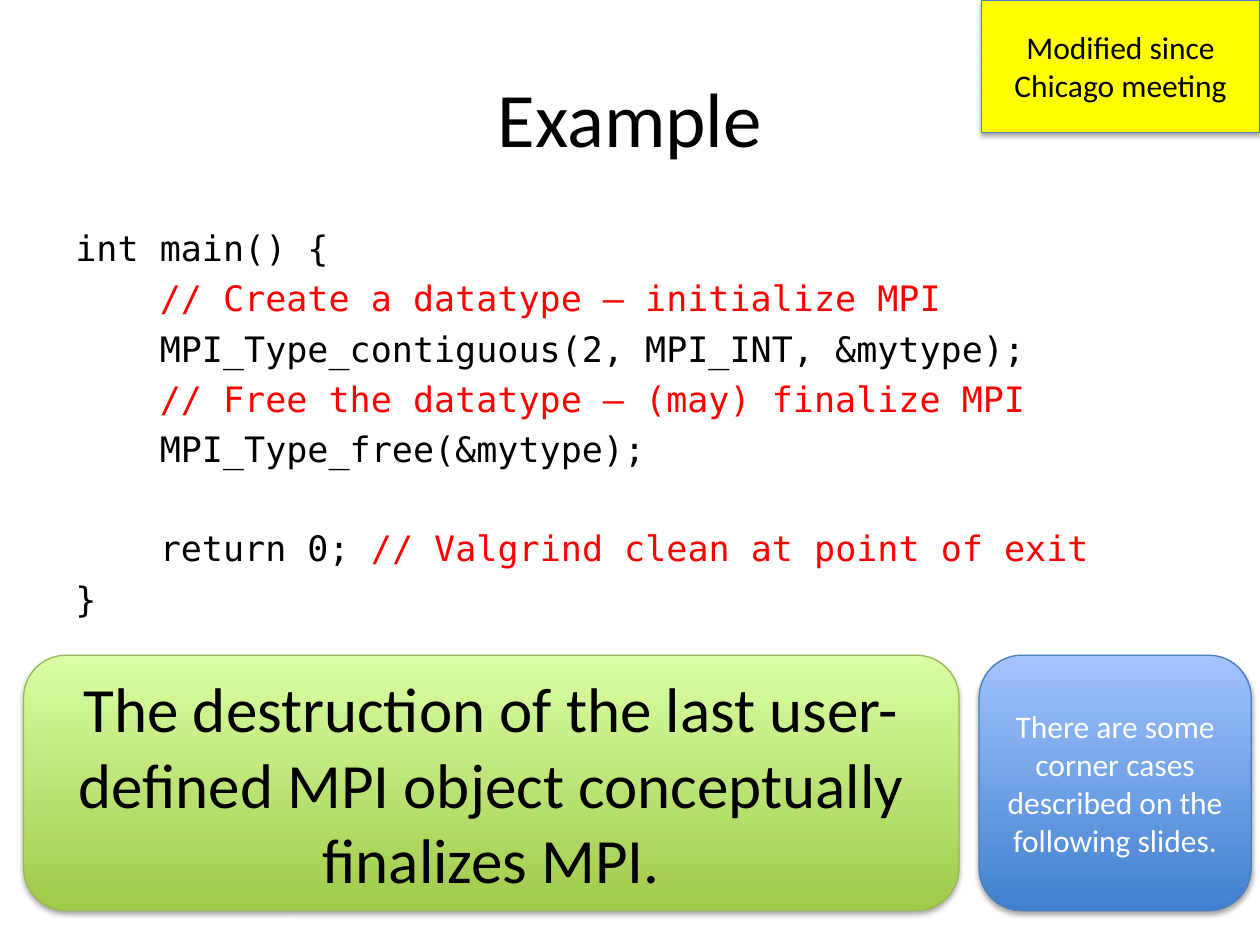
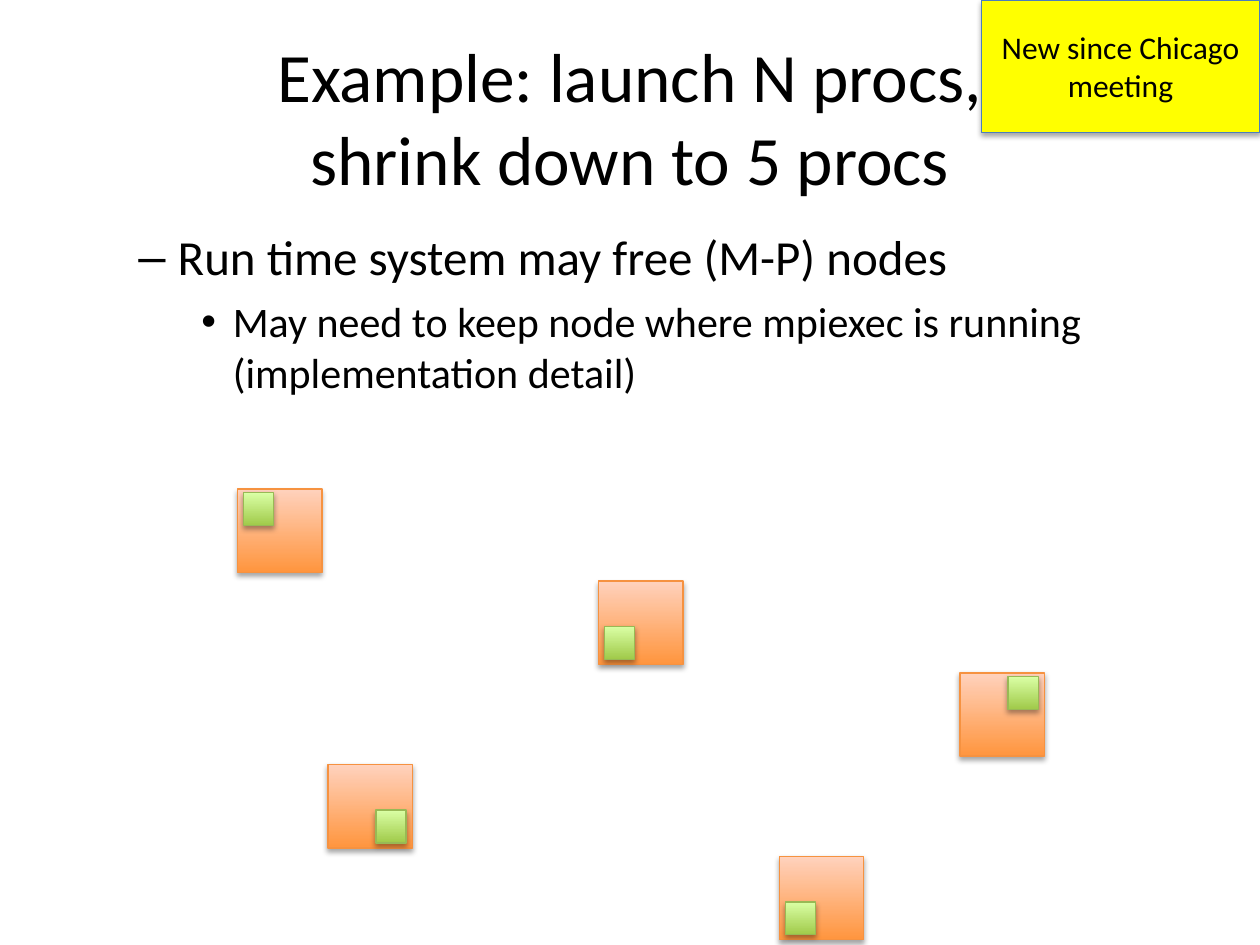
import pptx
import pptx.util
import pptx.dml.color
import pptx.enum.shapes
import pptx.enum.text
import pptx.oxml
import pptx.oxml.ns
from lxml import etree

Pt = pptx.util.Pt
Shapes = pptx.enum.shapes.MSO_SHAPE
Align = pptx.enum.text.PP_ALIGN
Anchor = pptx.enum.text.MSO_ANCHOR
qn = pptx.oxml.ns.qn

BLACK, WHITE, RED, YELLOW = "000000", "FFFFFF", "FF0000", "FFFF00"
GREEN = ("A0CA4A", "DAFFA5", "98B955")
BLUE = ("3F80CE", "A4C4FF", "4B7EBC")
ORANGE = ("FF953E", "FFD2BD", "F69240")
SANS, MONO = "Calibri", "DejaVu Sans Mono"
BODY_BOX = (36, 126, 648, 356.4)


def rgb(value):
    return pptx.dml.color.RGBColor.from_string(value)


class Deck:
    def __init__(self):
        self.prs = pptx.Presentation()
        self.prs.slide_width, self.prs.slide_height = Pt(720), Pt(540)
        self.slide = None

    def new_slide(self, title):
        self.slide = self.prs.slides.add_slide(self.prs.slide_layouts[6])
        size = 39.6 if "\v" in title else 44
        heading = self.text_frame((36, 21.6, 648, 90), Anchor.MIDDLE)
        self.put_text(heading.paragraphs[0], title, size, align=Align.CENTER)

    def text_frame(self, box, anchor=Anchor.TOP):
        frame = self.slide.shapes.add_textbox(*map(Pt, box)).text_frame
        frame.word_wrap = True
        frame.vertical_anchor = anchor
        return frame

    def put_text(self, paragraph, text, size, color=BLACK, font=SANS, align=Align.LEFT):
        paragraph.text = text
        paragraph.alignment = align
        self.style(paragraph.font, size, font)
        paragraph.font.color.rgb = rgb(color)

    def style(self, font, size, name):
        font.size, font.name = Pt(size), name

    def code(self, lines):
        frame = self.text_frame(BODY_BOX)
        for number, (gap, *parts) in enumerate(lines):
            paragraph = frame.add_paragraph() if number else frame.paragraphs[0]
            paragraph.space_before = Pt(gap)
            if len(parts) == 1:
                text, color = parts[0]
                self.put_text(paragraph, text, 20, color, MONO)
                continue
            self.style(paragraph.font, 20, MONO)
            for text, color in parts:
                run = paragraph.add_run()
                run.text = text
                run.font.color.rgb = rgb(color)

    def bullets(self, items):
        frame = self.text_frame(BODY_BOX)
        for number, (text, mark, size, margin, hang, gap) in enumerate(items):
            paragraph = frame.add_paragraph() if number else frame.paragraphs[0]
            properties = paragraph._p.get_or_add_pPr()
            properties.set("marL", str(Pt(margin)))
            properties.set("indent", str(-Pt(hang)))
            etree.SubElement(properties, qn("a:buFont")).set("typeface", "Arial")
            etree.SubElement(properties, qn("a:buChar")).set("char", mark)
            paragraph.space_before = Pt(gap)
            self.put_text(paragraph, text, size)

    def block(self, box, fill, line, text="", size=18, color=BLACK, kind=Shapes.RECTANGLE):
        shape = self.slide.shapes.add_shape(kind, *map(Pt, box))
        if isinstance(fill, str):
            shape.fill.solid()
            shape.fill.fore_color.rgb = rgb(fill)
        else:
            shape.fill.gradient()
            shape.fill.gradient_angle = 90
            for stop, shade in zip(shape.fill.gradient_stops, fill):
                stop.color.rgb = rgb(shade)
        shape.line.color.rgb = rgb(line)
        shape.line.width = Pt(0.75)
        self.soft_shadow(shape)
        if text:
            shape.text_frame.word_wrap = True
            shape.text_frame.vertical_anchor = Anchor.MIDDLE
            self.put_text(shape.text_frame.paragraphs[0], text, size, color, align=Align.CENTER)

    def soft_shadow(self, shape):
        shape.shadow.inherit = False
        effects = shape._element.spPr.find(qn("a:effectLst"))
        shadow = etree.SubElement(effects, qn("a:outerShdw"), blurRad=str(Pt(3.1)),
                                  dist=str(Pt(1.8)), dir="5400000", rotWithShape="0")
        tint = etree.SubElement(shadow, qn("a:srgbClr"), val=BLACK)
        etree.SubElement(tint, qn("a:alpha"), val="35000")

    def callout(self, box, palette, text, size, color):
        self.block(box, palette[:2], palette[2], text, size, color, Shapes.ROUNDED_RECTANGLE)

    def status_note(self, text):
        self.block((560.7, 0, 159.3, 75.6), YELLOW, BLUE[2], text)

    def node(self, left, top, proc_dx, proc_dy):
        self.block((left, top, 48.2, 47.6), ORANGE[:2], ORANGE[2])
        self.block((left + proc_dx, top + proc_dy, 17.3, 18.8), GREEN[:2], GREEN[2])


def destruction_example(deck):
    line_gap, section_gap = 4.7, 32.7
    deck.new_slide("Example")
    deck.code([
        (0, ("int main() {", BLACK)),
        (line_gap, ("    // Create a datatype – initialize MPI", RED)),
        (line_gap, ("    MPI_Type_contiguous(2, MPI_INT, &mytype);", BLACK)),
        (line_gap, ("    // Free the datatype – (may) finalize MPI", RED)),
        (line_gap, ("    MPI_Type_free(&mytype);", BLACK)),
        (section_gap, ("    return 0; ", BLACK), ("// Valgrind clean at point of exit", RED)),
        (line_gap, ("}", BLACK)),
    ])
    deck.callout((13.5, 374.4, 534.5, 146), GREEN,
                 "The destruction of the last user-defined MPI object conceptually finalizes MPI.",
                 36, BLACK)
    deck.callout((559.5, 374.4, 155.5, 146), BLUE,
                 "There are some corner cases described on the following slides.", 18, WHITE)
    deck.status_note("Modified since Chicago meeting")


def shrink_example(deck):
    deck.new_slide("Example: launch N procs,\vshrink down to 5 procs")
    deck.bullets([
        ("Run time system may free (M-P) nodes", "–", 28, 58.5, 22.5, 0),
        ("May need to keep node where mpiexec is running (implementation detail)",
         "•", 24, 90, 18, 5.8),
    ])
    near_x, far_x, near_y, far_y = 3.3, 27.4, 2.1, 25.9
    nodes = [(0, near_x, near_y), (4, near_x, far_y), (8, far_x, near_y),
             (1, far_x, far_y), (6, near_x, far_y)]
    for row, (column, proc_dx, proc_dy) in enumerate(nodes):
        deck.node(135.8 + 51.6 * column, 279.5 + 52.5 * row, proc_dx, proc_dy)
    deck.status_note("New since Chicago meeting")


def main():
    deck = Deck()
    destruction_example(deck)
    shrink_example(deck)
    deck.prs.save("out.pptx")


if __name__ == "__main__":
    main()
